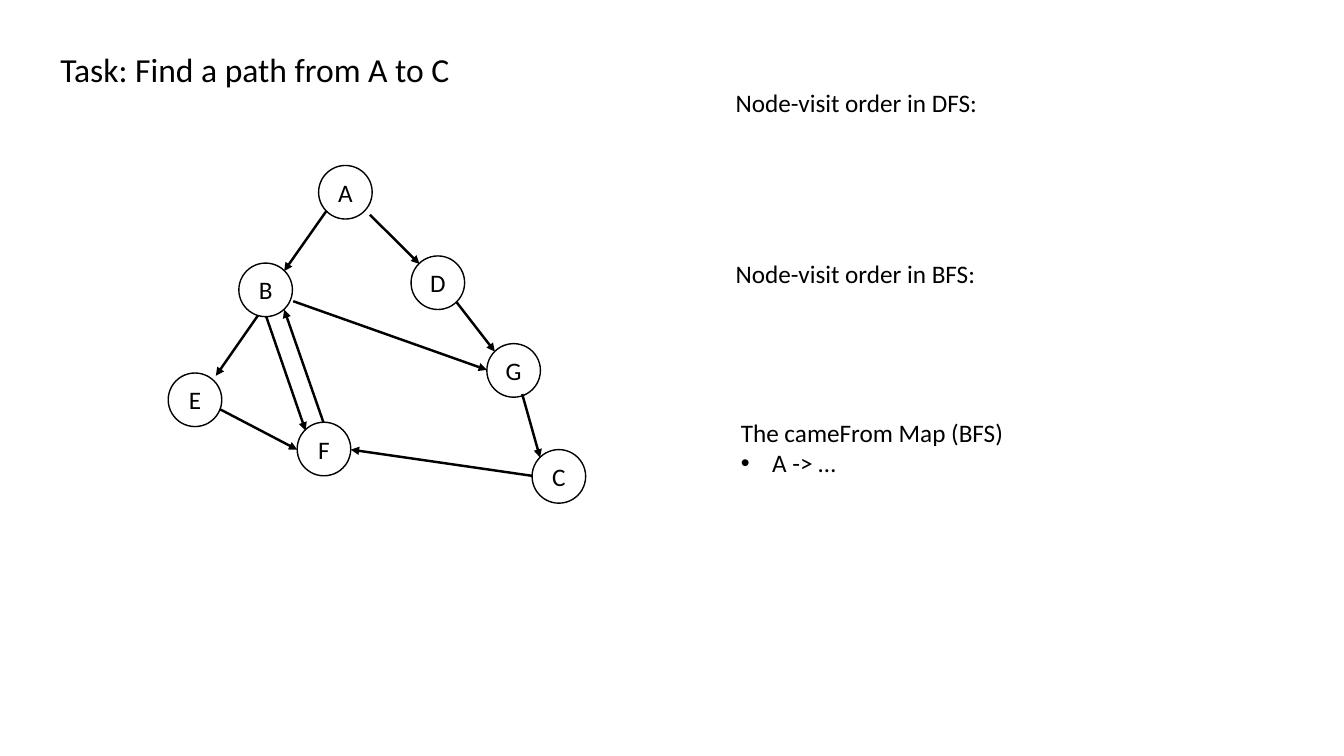
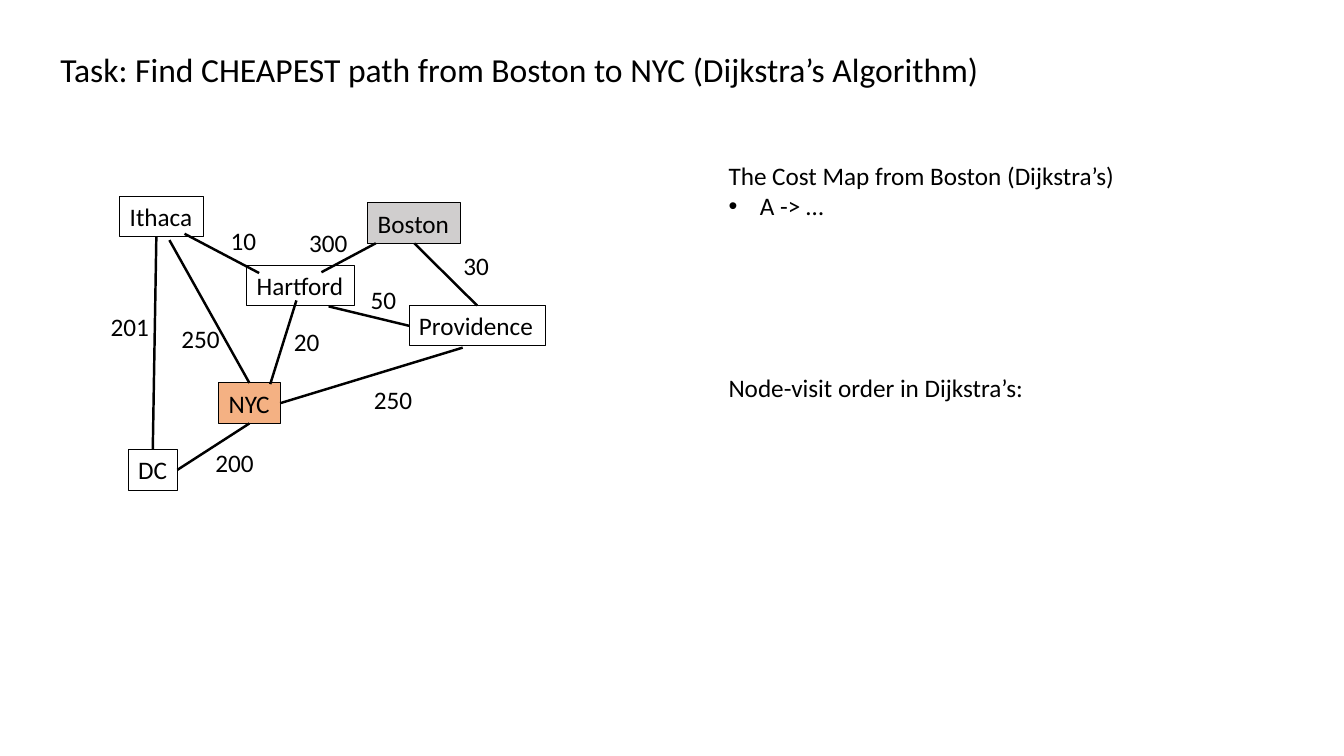
import pptx
import pptx.dml.color
import pptx.enum.shapes
import pptx.enum.text
import pptx.util
import lxml.etree

Cm = pptx.util.Cm
Pt = pptx.util.Pt
SHAPES = pptx.enum.shapes.MSO_SHAPE
ANCHOR = pptx.enum.text.MSO_ANCHOR
ALIGN = pptx.enum.text.PP_ALIGN
DRAWING = "{http://schemas.openxmlformats.org/drawingml/2006/main}"


def color(value):
    return pptx.dml.color.RGBColor.from_string(value)


def apply(target, values):
    for name, value in values.items():
        setattr(target, name, value)


class GraphDeck:
    ink = "000000"
    paper = "FFFFFF"
    font = "Calibri"
    text_size = 18
    title_size = 24
    line_height = 1.02
    node_size = 1.35
    edge_width = 1.75
    bullet_indent = 0.79

    def __init__(self):
        self.presentation = pptx.Presentation()
        apply(self.presentation, {"slide_width": Cm(33.87), "slide_height": Cm(19.05)})
        self.slide = None
        self.nodes = {}

    def set_text(self, shape, lines, size=text_size, align=ALIGN.LEFT, anchor=ANCHOR.TOP, wrap=False):
        frame = shape.text_frame
        frame.text = "\n".join(lines)
        apply(frame, {
            "word_wrap": wrap,
            "vertical_anchor": anchor,
            "auto_size": pptx.enum.text.MSO_AUTO_SIZE.NONE,
            "margin_left": Cm(0.25), "margin_right": Cm(0.25),
            "margin_top": Cm(0.13), "margin_bottom": Cm(0.13),
        })
        for paragraph in frame.paragraphs:
            apply(paragraph, {"alignment": align, "line_spacing": 1.0})
            for run in paragraph.runs:
                apply(run.font, {"name": self.font, "size": Pt(size)})
                run.font.color.rgb = color(self.ink)

    def start_slide(self, title, width):
        self.slide = self.presentation.slides.add_slide(self.presentation.slide_layouts[5])
        self.nodes = {}
        shape = self.slide.shapes.title
        apply(shape, {"left": Cm(1.27), "top": Cm(1.09), "width": Cm(width), "height": Cm(1.27)})
        self.set_text(shape, [title], size=self.title_size)

    def text(self, lines, left, top, width, height=line_height, wrap=True):
        shape = self.slide.shapes.add_textbox(Cm(left), Cm(top), Cm(width), Cm(height))
        self.set_text(shape, lines, wrap=wrap)
        return shape

    def map_note(self, heading, left, top, width):
        shape = self.text([heading, "A -> …"], left, top, width, 2.57)
        properties = shape.text_frame.paragraphs[1]._p.get_or_add_pPr()
        indent = Cm(self.bullet_indent)
        properties.set("marL", str(indent))
        properties.set("indent", str(-indent))
        lxml.etree.SubElement(properties, DRAWING + "buFont").set("typeface", "Arial")
        lxml.etree.SubElement(properties, DRAWING + "buChar").set("char", "•")

    def node(self, name, kind, left, top, width, height, fill, line_width, **text_format):
        shape = self.slide.shapes.add_shape(kind, Cm(left), Cm(top), Cm(width), Cm(height))
        shape.shadow.inherit = False
        if fill:
            shape.fill.solid()
            shape.fill.fore_color.rgb = color(fill)
        else:
            shape.fill.background()
        shape.line.color.rgb = color(self.ink)
        shape.line.width = Pt(line_width)
        self.set_text(shape, [name], **text_format)
        self.nodes[name] = shape

    def circle(self, name, left, top):
        self.node(name, SHAPES.OVAL, left, top, self.node_size, self.node_size,
                  self.paper, 1, align=ALIGN.CENTER, anchor=ANCHOR.MIDDLE)

    def city(self, name, left, top, width, fill=None):
        self.node(name, SHAPES.RECTANGLE, left, top, width, self.line_height, fill, 0.75)

    def cost(self, value, left, top):
        self.text([value], left, top, 0.51 + 0.33 * len(value), wrap=False)

    def edge(self, begin, end, arrow=False):
        points = [(0, 0) if isinstance(place[0], str) else place for place in (begin, end)]
        lengths = [Cm(value) for point in points for value in point]
        connector = self.slide.shapes.add_connector(
            pptx.enum.shapes.MSO_CONNECTOR.STRAIGHT, *lengths)
        for place, connect in ((begin, connector.begin_connect), (end, connector.end_connect)):
            if isinstance(place[0], str):
                connect(self.nodes[place[0]], place[1])
        connector.line.color.rgb = color(self.ink)
        connector.line.width = Pt(self.edge_width)
        if arrow:
            line = connector.line._get_or_add_ln()
            lxml.etree.SubElement(line, DRAWING + "tailEnd").set("type", "triangle")
        lxml.etree.SubElement(connector._element.spPr, DRAWING + "effectLst")


def search_slide(deck):
    deck.start_slide("Task: Find a path from A to C", 10.39)
    for name, left, top in (
        ("A", 8.03, 4.17), ("B", 6.02, 6.63), ("C", 13.41, 11.33), ("E", 4.24, 9.4),
        ("D", 10.36, 6.45), ("G", 12.27, 8.66), ("F", 7.49, 10.64),
    ):
        deck.circle(name, left, top)
    for begin, end in (
        ((8.23, 5.31), (7.16, 6.83)),
        ((6.5, 7.95), (5.44, 9.47)),
        ((9.32, 5.41), (10.57, 6.65)),
        ((11.51, 7.62), (12.47, 8.86)),
        ((13.16, 9.93), (13.61, 11.53)),
        ((7.39, 7.59), (12.27, 9.32)),
        ((5.54, 10.31), (7.49, 11.33)),
        ((13.41, 11.99), (8.84, 11.33)),
        ((6.71, 7.98), (7.7, 10.85)),
        ((8.15, 10.64), (7.16, 7.8)),
    ):
        deck.edge(begin, end, arrow=True)
    for method, top in (("DFS", 2.08), ("BFS", 6.38)):
        deck.text([f"Node-visit order in {method}:"], 18.29, top, 11.53)
    deck.map_note("The cameFrom Map (BFS)", 18.42, 10.39, 8.69)


def cheapest_slide(deck):
    deck.start_slide("Task: Find CHEAPEST path from Boston to NYC (Dijkstra’s Algorithm)", 23.85)
    for city in (
        ("Ithaca", 3.02, 4.95, 2.11),
        ("Providence", 10.31, 7.7, 3.43),
        ("Hartford", 6.22, 6.68, 2.72),
        ("NYC", 5.51, 9.65, 1.55, "F4B183"),
        ("DC", 3.23, 11.33, 1.24, deck.paper),
        ("Boston", 9.27, 5.11, 2.34, "D0CECE"),
    ):
        deck.city(*city)
    for begin, end in (
        (("Providence", 1), (8.28, 7.72)),
        ((9.47, 6.13), (8.1, 6.86)),
        (("Boston", 2), ("Providence", 0)),
        ((4.65, 5.89), (6.53, 6.88)),
        (("NYC", 2), ("DC", 3)),
        ((11.66, 8.76), ("NYC", 3)),
        ((4.27, 6.05), ("NYC", 0)),
        ((3.94, 5.97), ("DC", 0)),
        ((7.47, 7.57), (6.81, 9.68)),
    ):
        deck.edge(begin, end)
    for value, left, top in (
        ("30", 11.43, 6.17), ("250", 4.32, 8.03), ("10", 5.56, 5.56),
        ("50", 9.09, 7.04), ("20", 7.16, 8.1), ("201", 2.54, 7.72),
        ("200", 5.18, 11.15), ("300", 7.54, 5.61), ("250", 9.17, 9.55),
    ):
        deck.cost(value, left, top)
    deck.map_note("The Cost Map from Boston (Dijkstra’s)", 18.11, 3.91, 11.1)
    deck.text(["Node-visit order in Dijkstra’s:"], 18.11, 9.25, 12.88)


def main():
    deck = GraphDeck()
    search_slide(deck)
    cheapest_slide(deck)
    deck.presentation.save("out.pptx")


if __name__ == "__main__":
    main()
